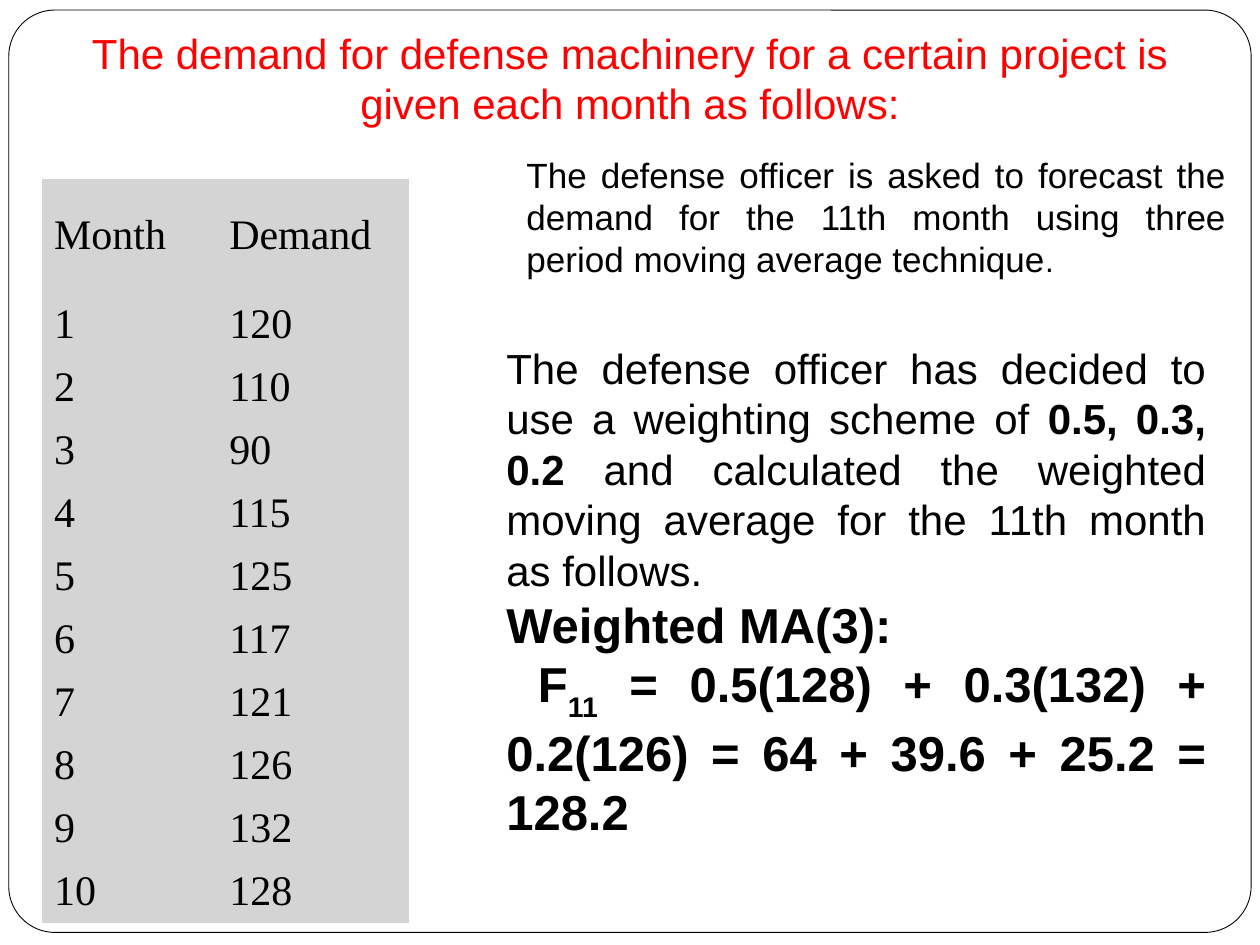
from pptx import Presentation
from pptx.dml.color import RGBColor
from pptx.enum.shapes import MSO_SHAPE
from pptx.enum.text import MSO_ANCHOR, MSO_AUTO_SIZE, PP_ALIGN
from pptx.util import Inches, Pt

BLACK, WHITE, RED, GRAY = "000000", "FFFFFF", "FF0000", "D4D4D4"

TITLE = "The demand for defense machinery for a certain project is given each month as follows:"
HEADER = ("Month", "Demand")
DEMAND = [120, 110, 90, 115, 125, 117, 121, 126, 132, 128]
COLUMN_WIDTHS = (1.39, 1.53)
HEADER_HEIGHT, ROW_HEIGHT = 0.9, 0.5

# Each paragraph is a list of (text, format) runs.
TASK = [[
    ("The defense officer is asked to forecast the demand for the 11th month "
     "using three period moving average technique", {"size": 20}),
    (".", {"size": 18}),
]]
FORMULA = {"size": 28, "bold": True}
SOLUTION = [
    [("The defense officer has decided to use a weighting scheme of ", {}),
     ("0.5, 0.3, 0.2", {"bold": True}),
     (" and calculated the weighted moving average for the 11th month as follows. ", {})],
    [("Weighted MA(3):", FORMULA)],
    [(" F", FORMULA),
     ("11", {**FORMULA, "baseline": -30}),
     (" = 0.5(128) + 0.3(132) + 0.2(126) = 64 + 39.6 + 25.2 = 128.2 ", FORMULA)],
]


def color(value):
    return RGBColor.from_string(value)


def add_run(paragraph, text, size=24, font="Arial", fill=BLACK, bold=False, baseline=0):
    run = paragraph.add_run()
    run.text = text
    run.font.size = Pt(size)
    run.font.name = font
    run.font.bold = bold
    run.font.color.rgb = color(fill)
    if baseline:
        run.font._element.set("baseline", str(baseline * 1000))


def add_text(slide, box, paragraphs, align=PP_ALIGN.JUSTIFY, indent=0):
    shape = slide.shapes.add_textbox(*map(Inches, box))
    frame = shape.text_frame
    frame.word_wrap = True
    frame.auto_size = MSO_AUTO_SIZE.SHAPE_TO_FIT_TEXT
    for index, runs in enumerate(paragraphs):
        paragraph = frame.add_paragraph() if index else frame.paragraphs[0]
        paragraph.alignment = align
        if indent:
            paragraph.level = 1
            properties = paragraph._p.get_or_add_pPr()
            properties.set("marL", str(Inches(indent)))
            properties.set("indent", "0")
        for text, text_format in runs:
            add_run(paragraph, text, **text_format)


def add_frame(slide):
    frame = slide.shapes.add_shape(
        MSO_SHAPE.ROUNDED_RECTANGLE, *map(Inches, (0.07, 0.08, 9.86, 7.32)))
    frame.adjustments[0] = 0.05
    frame.shadow.inherit = False
    frame.fill.solid()
    frame.fill.fore_color.rgb = color(WHITE)
    frame.line.color.rgb = color(BLACK)
    frame.line.width = Pt(0.5)


def add_demand_table(slide, left, top):
    rows = [HEADER, *enumerate(DEMAND, start=1)]
    height = HEADER_HEIGHT + ROW_HEIGHT * len(DEMAND)
    table = slide.shapes.add_table(
        len(rows), len(HEADER),
        *map(Inches, (left, top, sum(COLUMN_WIDTHS), height))).table
    table.first_row = table.horz_banding = False
    for column, width in zip(table.columns, COLUMN_WIDTHS):
        column.width = Inches(width)
    for index, values in enumerate(rows):
        table.rows[index].height = Inches(ROW_HEIGHT if index else HEADER_HEIGHT)
        for cell, value in zip(table.rows[index].cells, values):
            cell.fill.solid()
            cell.fill.fore_color.rgb = color(GRAY)
            cell.vertical_anchor = MSO_ANCHOR.MIDDLE
            add_run(cell.text_frame.paragraphs[0], str(value), font="Times New Roman")
            # Hide the borders that the default table style draws.
            properties = cell._tc.get_or_add_tcPr()
            for position, side in enumerate(("lnL", "lnR", "lnT", "lnB")):
                border = properties.makeelement(
                    properties.tag.replace("tcPr", side), {"w": "0"})
                border.append(border.makeelement(
                    properties.tag.replace("tcPr", "noFill"), {}))
                properties.insert(position, border)


def main():
    presentation = Presentation()
    presentation.slide_width, presentation.slide_height = Inches(10), Inches(7.5)
    slide = presentation.slides.add_slide(presentation.slide_layouts[6])
    add_frame(slide)
    add_text(slide, (0.25, 0.17, 9.5, 0.9), [[(TITLE, {"fill": RED})]],
             align=PP_ALIGN.CENTER)
    add_demand_table(slide, 0.33, 1.42)
    add_text(slide, (4.08, 1.17, 5.75, 1.1), TASK)
    add_text(slide, (3.42, 2.67, 6.25, 4.05), SOLUTION, indent=0.5)
    presentation.save("out.pptx")


if __name__ == "__main__":
    main()
